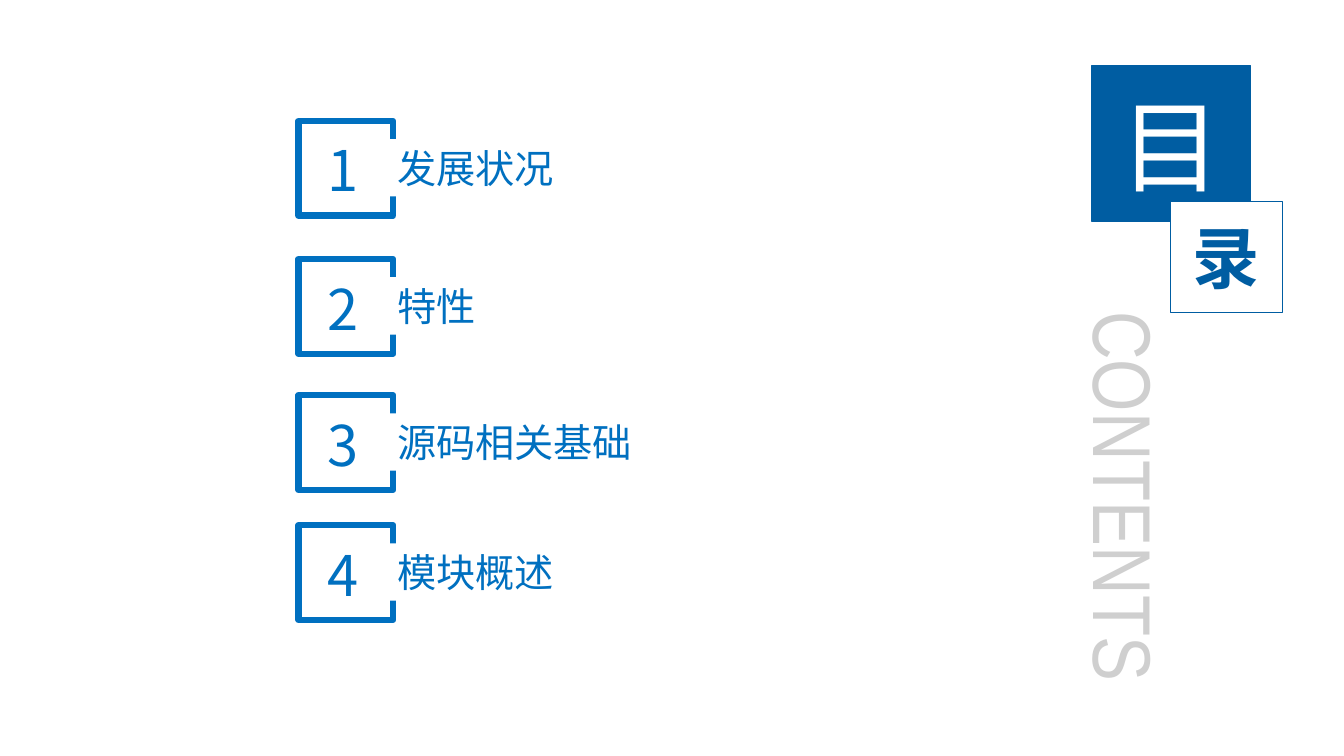
from dataclasses import dataclass

from lxml import etree
from pptx import Presentation
from pptx import util as u
from pptx.dml.color import RGBColor
from pptx.enum import shapes, text
from pptx.oxml.ns import qn

SLIDE_WIDTH, SLIDE_HEIGHT = u.Inches(13.33), u.Inches(7.5)
CJK_FONT = "Noto Sans CJK SC"
NAVY, BLUE, GRAY, WHITE = "005DA2", "0070C0", "CFCFCF", "FFFFFF"


@dataclass(frozen=True)
class Area:
    """A rectangle in percent of the slide's width and height."""
    left: float
    top: float
    width: float
    height: float


@dataclass(frozen=True)
class Chapter:
    title: str
    top: float
    title_width: float


CHAPTERS = [
    Chapter("发展状况", 16, 17.1),
    Chapter("特性", 34.27, 19.8),
    Chapter("源码相关基础", 52.27, 24.16),
    Chapter("模块概述", 69.47, 17.1),
]


def color(value: str) -> RGBColor:
    return RGBColor.from_string(value)


def place(shape, area: Area) -> None:
    shape.left = round(SLIDE_WIDTH * area.left / 100)
    shape.top = round(SLIDE_HEIGHT * area.top / 100)
    shape.width = round(SLIDE_WIDTH * area.width / 100)
    shape.height = round(SLIDE_HEIGHT * area.height / 100)


def paint(shape, fill: str | None, line: str | None, line_width: float = 0) -> None:
    if fill:
        shape.fill.solid()
        shape.fill.fore_color.rgb = color(fill)
    else:
        shape.fill.background()
    if line:
        shape.line.color.rgb = color(line)
        shape.line.width = u.Pt(line_width)
    else:
        shape.line.fill.background()


def write(shape, words: str, size: float, ink: str, font_name: str = CJK_FONT,
          bold: bool = False, centered: bool = False, wrap: bool = True) -> None:
    frame = shape.text_frame
    frame.text = words
    frame.word_wrap = wrap
    frame.auto_size = text.MSO_AUTO_SIZE.NONE
    frame.vertical_anchor = text.MSO_ANCHOR.MIDDLE if centered else text.MSO_ANCHOR.TOP
    paragraph = frame.paragraphs[0]
    paragraph.alignment = text.PP_ALIGN.CENTER if centered else text.PP_ALIGN.LEFT
    paragraph.line_spacing = 1.0
    font = paragraph.font
    font.size, font.bold, font.name = u.Pt(size), bold, font_name
    font.color.rgb = color(ink)
    # Chinese characters take the East Asian typeface
    properties = paragraph._p.pPr.find(qn("a:defRPr"))
    etree.SubElement(properties, qn("a:ea")).set("typeface", font_name)


def add_box(slide, area: Area, fill: str | None, line: str | None, line_width: float = 0):
    box = slide.shapes.add_shape(shapes.MSO_SHAPE.RECTANGLE, 0, 0, 0, 0)
    box.shadow.inherit = False
    place(box, area)
    paint(box, fill, line, line_width)
    return box


def add_text(slide, area: Area):
    box = slide.shapes.add_textbox(0, 0, 0, 0)
    place(box, area)
    return box


def add_heading(slide) -> None:
    # Large title square
    title = slide.shapes.title
    place(title, Area(81.25, 8.67, 11.78, 20.67))
    paint(title, NAVY, NAVY, 0.75)
    write(title, "目", 72, WHITE, centered=True)

    # Small overlapping square
    corner = add_box(slide, Area(87.1, 26.67, 8.33, 14.67), WHITE, NAVY, 1)
    write(corner, "录", 48, NAVY, bold=True, centered=True)

    for square in (title, corner):
        frame = square.text_frame
        frame.margin_left = frame.margin_right = u.Inches(0.13)
        frame.margin_top = frame.margin_bottom = u.Inches(0.07)

    # Vertical caption
    caption = add_text(slide, Area(78.92, 39.87, 8.93, 50.8))
    write(caption, "CONTENTS", 58.6, GRAY, font_name="Arial Narrow", wrap=False)
    caption.text_frame._txBody.bodyPr.set("vert", "eaVert")


def add_chapter(slide, number: int, chapter: Chapter) -> None:
    add_box(slide, Area(22.2, chapter.top, 7.05, 12.53), None, BLUE, 4.5)

    # The white label opens the frame's right side
    label = add_box(slide, Area(28.81, chapter.top + 2.4, chapter.title_width, 7.6), WHITE, None)
    write(label, chapter.title, 28, BLUE)

    digit = add_text(slide, Area(23.63, chapter.top + 1.33, 4.28, 10.27))
    write(digit, str(number), 40, BLUE)


def main() -> None:
    presentation = Presentation()
    presentation.slide_width, presentation.slide_height = SLIDE_WIDTH, SLIDE_HEIGHT
    slide = presentation.slides.add_slide(presentation.slide_layouts[5])
    add_heading(slide)
    for number, chapter in enumerate(CHAPTERS, start=1):
        add_chapter(slide, number, chapter)
    presentation.save("out.pptx")


if __name__ == "__main__":
    main()
